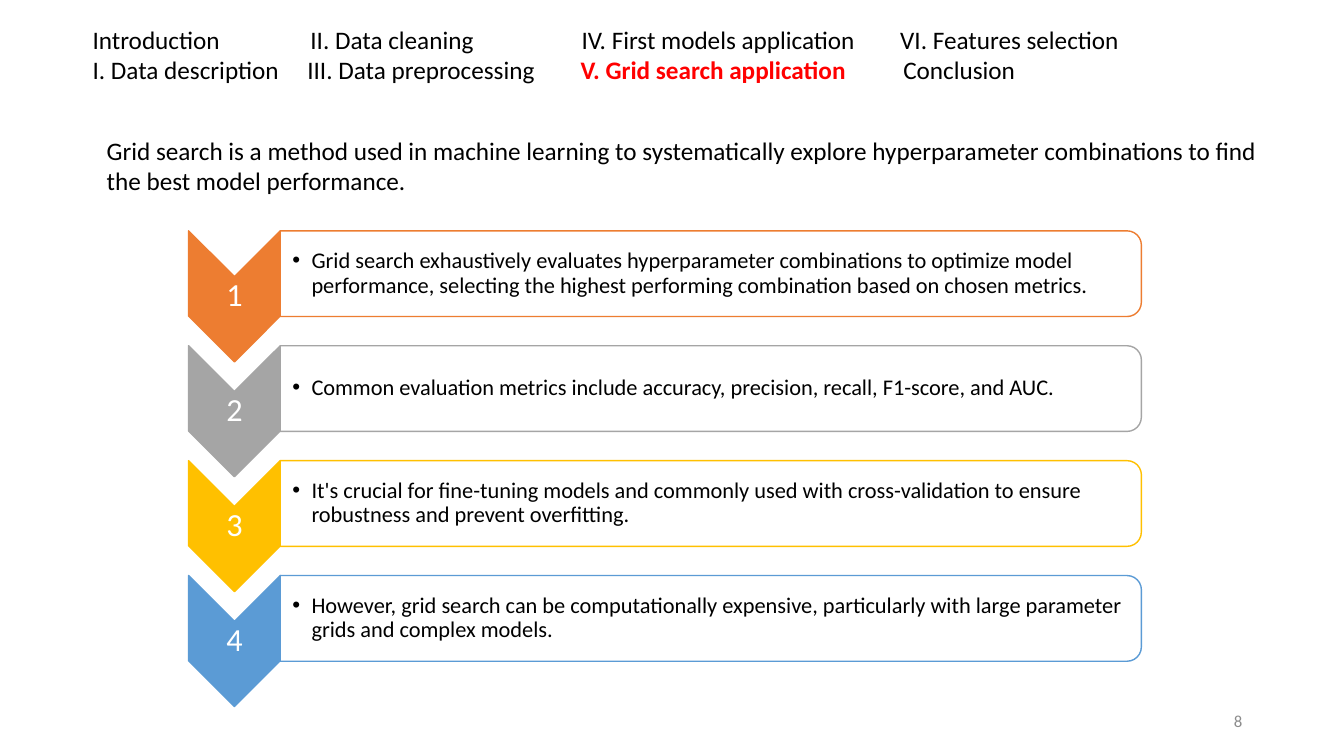
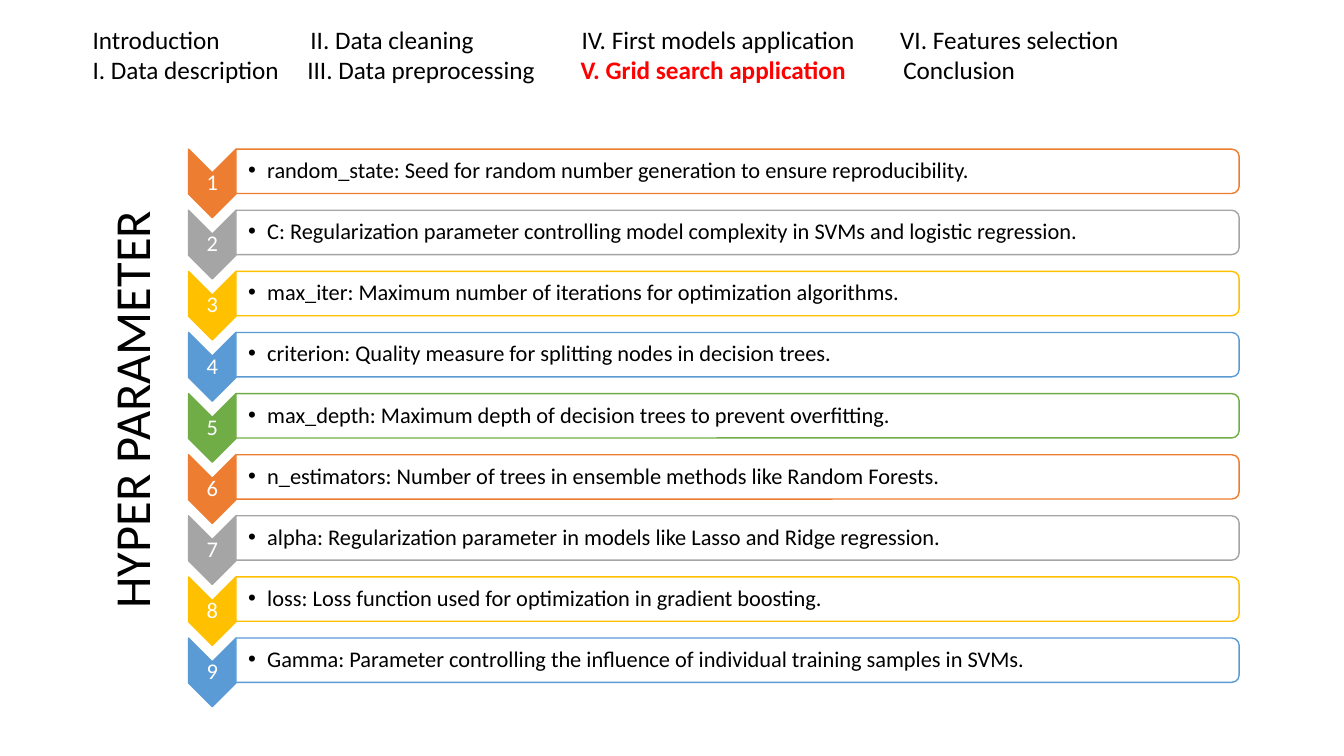
from lxml import etree
from pptx import Presentation
from pptx import util as u
from pptx.dml.color import RGBColor
from pptx.enum import shapes, text
from pptx.oxml.ns import qn

# Shared style
FONT = "Calibri"
COLOURS = {
    "black": "000000", "white": "FFFFFF", "red": "FF0000", "number": "8C8C8C",
    "orange": "ED7D31", "grey": "A5A5A5", "gold": "FFC000",
    "blue": "5B9BD5", "green": "70AD47",
}
STEP_COLOURS = ["orange", "grey", "gold", "blue", "green"]

# Navigation rows: entries and the tab stops of the second to last entry
NAVIGATION = [
    (["Introduction", "II. Data cleaning", "IV. First models application",
      "VI. Features selection"], [2.16, 4.85, 8.01]),
    (["I. Data description", "III. Data preprocessing",
      "V. Grid search application", "Conclusion"], [2.13, 4.84, 8.04]),
]
CURRENT = "V. Grid search application"

# Content
INTRODUCTION = ("Grid search is a method used in machine learning to systematically explore "
                "hyperparameter combinations to find the best model performance.")
SIDE_TITLE = "HYPER PARAMETER"
GRID_SEARCH = {
    "first": 2.29, "last": 5.71, "left": 1.87, "chevron": (0.91, 1.3),
    "panel": (8.54, 0.85), "number size": 23, "inset": 0.02,
    "items": [
        "Grid search exhaustively evaluates hyperparameter combinations to optimize model "
        "performance, selecting the highest performing combination based on chosen metrics.",
        "Common evaluation metrics include accuracy, precision, recall, F1-score, and AUC.",
        "It's crucial for fine-tuning models and commonly used with cross-validation to ensure "
        "robustness and prevent overfitting.",
        "However, grid search can be computationally expensive, particularly with large "
        "parameter grids and complex models.",
    ],
}
PARAMETERS = {
    "first": 1.48, "last": 6.33, "left": 1.87, "chevron": (0.47, 0.68),
    "panel": (9.95, 0.44), "number size": 16, "inset": 0.01,
    "items": [
        "random_state: Seed for random number generation to ensure reproducibility.",
        "C: Regularization parameter controlling model complexity in SVMs and logistic regression.",
        "max_iter: Maximum number of iterations for optimization algorithms.",
        "criterion: Quality measure for splitting nodes in decision trees.",
        "max_depth: Maximum depth of decision trees to prevent overfitting.",
        "n_estimators: Number of trees in ensemble methods like Random Forests.",
        "alpha: Regularization parameter in models like Lasso and Ridge regression.",
        "loss: Loss function used for optimization in gradient boosting.",
        "Gamma: Parameter controlling the influence of individual training samples in SVMs.",
    ],
}


def rgb(name):
    return RGBColor.from_string(COLOURS[name])


def add_box(parent, left, top, width, height, insets=(0.1, 0.05, 0.1, 0.05), middle=False):
    box = parent.add_textbox(*(u.Inches(n) for n in (left, top, width, height)))
    frame = box.text_frame
    frame.word_wrap = True
    frame.margin_left, frame.margin_top, frame.margin_right, frame.margin_bottom = (
        u.Inches(n) for n in insets)
    if middle:
        frame.vertical_anchor = text.MSO_ANCHOR.MIDDLE
    return frame


def add_span(para, words, size, colour="black", bold=False):
    span = para.add_run()
    span.text = words
    span.font.name, span.font.size, span.font.bold = FONT, u.Pt(size), bold
    span.font.color.rgb = rgb(colour)


def add_bullet(para, indent):
    properties = para._p.get_or_add_pPr()
    properties.set("marL", str(u.Inches(indent)))
    properties.set("indent", str(-u.Inches(indent)))
    etree.SubElement(properties, qn("a:buFont")).set("typeface", "Arial")
    etree.SubElement(properties, qn("a:buChar")).set("char", "•")


def add_turned_shape(parent, kind, left, top, width, height, fill, line):
    """Add a shape turned by 90 degrees that covers the given area."""
    across, down = left + width / 2, top + height / 2
    shape = parent.add_shape(kind, u.Inches(across - height / 2), u.Inches(down - width / 2),
                             u.Inches(height), u.Inches(width))
    shape.rotation = 90
    shape.shadow.inherit = False
    shape.fill.solid()
    shape.fill.fore_color.rgb = rgb(fill)
    shape.line.color.rgb = rgb(line)
    shape.line.width = u.Pt(1)
    return shape


def add_navigation(page):
    frame = add_box(page.shapes, 0.82, 0.19, 12.68, 0.71)
    for row, (entries, stops) in enumerate(NAVIGATION):
        para = frame.add_paragraph() if row else frame.paragraphs[0]
        tabs = etree.SubElement(para._p.get_or_add_pPr(), qn("a:tabLst"))
        for stop in stops:
            etree.SubElement(tabs, qn("a:tab"), pos=str(u.Inches(stop)), algn="l")
        for column, entry in enumerate(entries):
            if column:
                add_span(para, "\t", 18)
            current = entry == CURRENT
            add_span(para, entry, 18, "red" if current else "black", current)


def add_steps(page, steps):
    group = page.shapes.add_group_shape().shapes
    left, inset = steps["left"], steps["inset"]
    chevron_width, chevron_height = steps["chevron"]
    panel_width, panel_height = steps["panel"]
    panel_left = left + chevron_width
    pitch = (steps["last"] - steps["first"]) / (len(steps["items"]) - 1)
    for index, item in enumerate(steps["items"]):
        top = steps["first"] + index * pitch
        colour = STEP_COLOURS[index % len(STEP_COLOURS)]

        # Numbered chevron
        add_turned_shape(group, shapes.MSO_SHAPE.CHEVRON, left, top,
                         chevron_width, chevron_height, colour, colour)
        frame = add_box(group, left, top + chevron_width / 2, chevron_width,
                        chevron_height - chevron_width, [inset] * 4, True)
        para = frame.paragraphs[0]
        para.alignment, para.line_spacing = text.PP_ALIGN.CENTER, 0.9
        add_span(para, str(index + 1), steps["number size"], "white")

        # Panel, rounded on the right
        panel = add_turned_shape(group, shapes.MSO_SHAPE.ROUND_2_SAME_RECTANGLE, panel_left, top,
                                 panel_width, panel_height, "white", colour)
        fill = panel._element.spPr.find(qn("a:solidFill"))[0]
        etree.SubElement(fill, qn("a:alpha")).set("val", "90000")
        margin = panel_height * 0.05
        frame = add_box(group, panel_left, top + margin, panel_width - margin,
                        panel_height - 2 * margin, (0.12, 0.01, 0.01, 0.01), True)
        para = frame.paragraphs[0]
        para.line_spacing = 0.9
        add_bullet(para, 0.19)
        add_span(para, item, 16)


def add_page(deck, steps):
    page = deck.slides.add_slide(deck.slide_layouts[6])
    add_navigation(page)
    add_steps(page, steps)
    return page


def main():
    deck = Presentation()
    deck.slide_width, deck.slide_height = u.Inches(13.33), u.Inches(7.5)

    # Grid search
    page = add_page(deck, GRID_SEARCH)
    frame = add_box(page.shapes, 0.96, 1.29, 11.65, 0.71)
    add_span(frame.paragraphs[0], INTRODUCTION, 18)
    frame = add_box(page.shapes, 9.42, 6.95, 3, 0.4, middle=True)
    frame.paragraphs[0].alignment = text.PP_ALIGN.RIGHT
    add_span(frame.paragraphs[0], "8", 12, "number")

    # Hyperparameters
    page = add_page(deck, PARAMETERS)
    frame = add_box(page.shapes, 0.94, 1.61, 0.81, 4.91)
    frame._txBody.bodyPr.set("vert", "vert270")
    frame.paragraphs[0].alignment = text.PP_ALIGN.CENTER
    add_span(frame.paragraphs[0], SIDE_TITLE, 36)

    deck.save("out.pptx")


if __name__ == "__main__":
    main()
